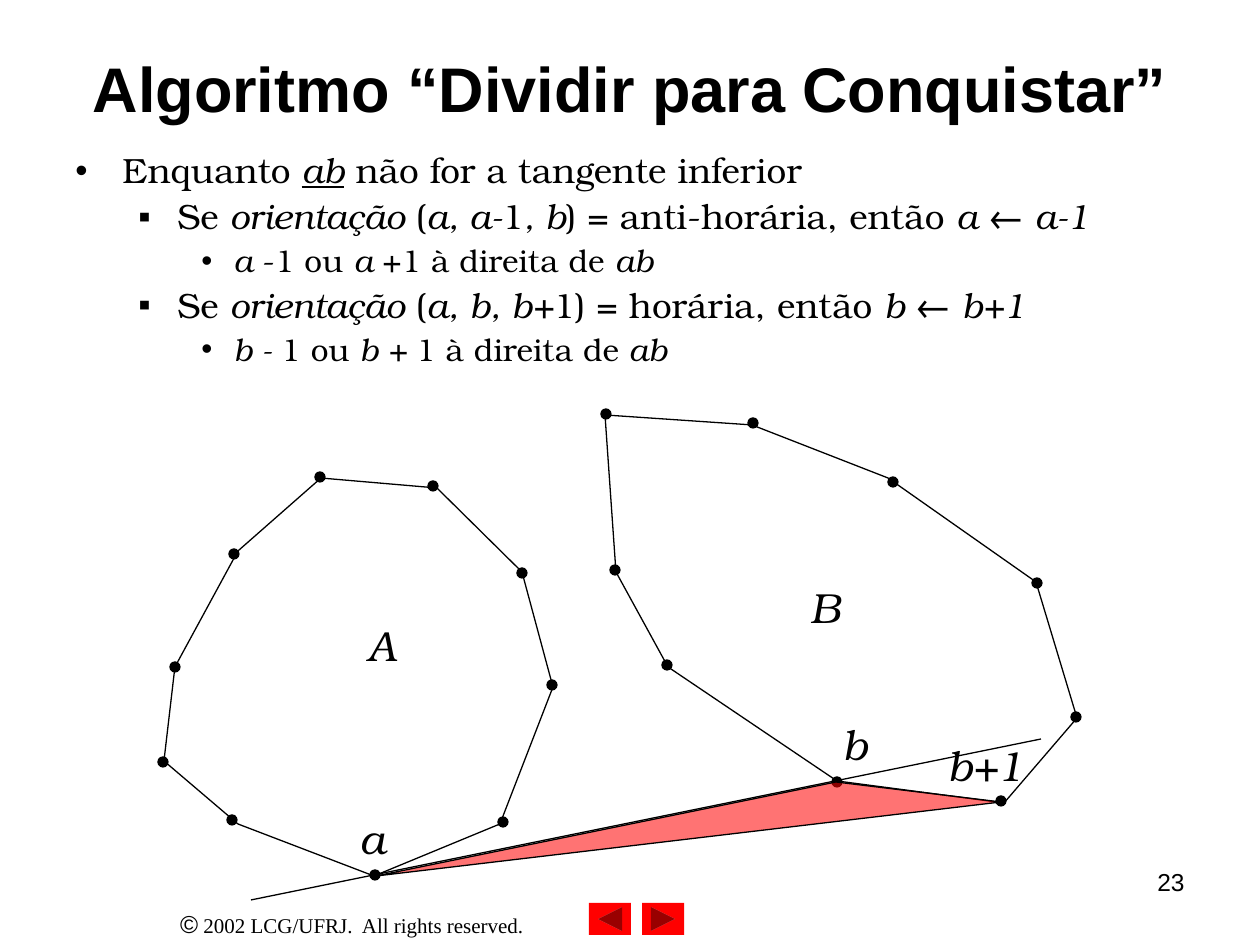
from dataclasses import dataclass

import pptx
import pptx.dml.color
import pptx.enum.shapes
import pptx.enum.text
import pptx.oxml.ns
import pptx.util
from lxml import etree

EMU_PER_PX = 914400 / 126
COLORS = {"ink": "000000", "paper": "FFFFFF", "accent": "FF0000"}
HEADING_FONT, BODY_FONT, FOOTER_FONT = "Arial", "TeX Gyre Bonum", "Times New Roman"
DOT = 10
LINE_WIDTH = 0.75
ALIGN = pptx.enum.text.PP_ALIGN
SHAPES = pptx.enum.shapes.MSO_SHAPE


@dataclass
class Hull:
    outline: list
    dots: list


@dataclass
class Label:
    text: str
    left: int
    top: int
    width: int


@dataclass
class Bullet:
    level: int
    text: str  # *italic*, with a leading _ for underline


@dataclass
class LevelStyle:
    mark: str
    margin: int
    indent: int
    size: int
    space_before: float


HULLS = [
    Hull([(238, 824), (164, 761), (175, 667), (238, 551), (321, 478), (437, 488),
          (522, 572), (553, 687), (500, 824), (374, 876)],
         [(232, 820), (163, 762), (175, 667), (234, 554), (320, 477), (433, 486),
          (522, 573), (552, 685), (503, 822), (375, 875)]),
    Hull([(605, 415), (616, 572), (668, 667), (837, 781), (1004, 803), (1077, 718),
          (1036, 582), (888, 478), (752, 425)],
         [(606, 414), (615, 570), (667, 665), (837, 782), (1001, 801), (1076, 717),
          (1037, 583), (893, 482), (753, 423)]),
]
TRIANGLE = [(376, 876), (836, 782), (1001, 802)]
HULL_LABELS = [Label("A", 355, 613, 60), Label("B", 798, 575, 60)]
POINT_LABELS = [Label("b", 830, 712, 60), Label("a", 347, 806, 60),
                Label("b+1", 935, 733, 120)]
BULLETS = [
    Bullet(0, "Enquanto *_ab* não for a tangente inferior"),
    Bullet(1, "Se *orientação* (*a, a-*1*, b*) = anti-horária, então *a *← *a-1*"),
    Bullet(2, "*a *-1 ou *a *+1 à direita de *ab*"),
    Bullet(1, "Se *orientação* (*a, b, b+*1) = horária, então *b *← *b+1*"),
    Bullet(2, "*b - *1 ou* b + *1 à direita de* ab*"),
]
LEVELS = [LevelStyle("•", 47, -47, 20, 5), LevelStyle("▪", 102, -39, 20, 5),
          LevelStyle("•", 158, -32, 18, 4.5)]


def px(value: int) -> int:
    return round(value * EMU_PER_PX)


def color(name: str):
    return pptx.dml.color.RGBColor.from_string(COLORS[name])


def set_attributes(target, values: dict) -> None:
    for name, value in values.items():
        setattr(target, name, value)


def add_run(paragraph, text: str, font: str, size: int, **extra) -> None:
    run = paragraph.add_run()
    run.text = text
    set_attributes(run.font, {"name": font, "size": pptx.util.Pt(size), **extra})
    run.font.color.rgb = color("ink")


def add_text_box(slide, left: int, top: int, width: int, height: int, **frame_values):
    box = slide.shapes.add_textbox(px(left), px(top), px(width), px(height))
    set_attributes(box.text_frame, {"word_wrap": True, **frame_values})
    return box.text_frame


def style_shape(shape, fill=None, line=None) -> None:
    shape.shadow.inherit = False
    if fill:
        shape.fill.solid()
        shape.fill.fore_color.rgb = color(fill)
    else:
        shape.fill.background()
    if line:
        shape.line.color.rgb = color(line)
        shape.line.width = pptx.util.Pt(LINE_WIDTH)
    else:
        shape.line.fill.background()


def add_polygon(slide, points: list, fill=None):
    builder = slide.shapes.build_freeform(*points[0], scale=EMU_PER_PX)
    builder.add_line_segments(points[1:], close=True)
    shape = builder.convert_to_shape()
    style_shape(shape, fill, "ink")
    return shape


def add_dot(slide, x: int, y: int) -> None:
    dot = slide.shapes.add_shape(SHAPES.OVAL, px(x - DOT // 2), px(y - DOT // 2),
                                 px(DOT), px(DOT))
    style_shape(dot, "ink", "ink")


def add_label(slide, label: Label) -> None:
    frame = add_text_box(slide, label.left, label.top, label.width, 63)
    add_run(frame.paragraphs[0], label.text, BODY_FONT, 24, italic=True)


def add_bullet(paragraph, bullet: Bullet) -> None:
    style = LEVELS[bullet.level]
    set_attributes(paragraph, {"level": bullet.level, "line_spacing": 0.9,
                               "space_before": pptx.util.Pt(style.space_before)})
    properties = paragraph._p.get_or_add_pPr()
    properties.set("marL", str(px(style.margin)))
    properties.set("indent", str(px(style.indent)))
    for tag, name, value in (("a:buFont", "typeface", HEADING_FONT),
                             ("a:buChar", "char", style.mark)):
        etree.SubElement(properties, pptx.oxml.ns.qn(tag)).set(name, value)
    for index, part in enumerate(bullet.text.split("*")):
        if part:
            add_run(paragraph, part.lstrip("_"), BODY_FONT, style.size,
                    italic=index % 2 == 1, underline=part.startswith("_"))


def add_button(slide, left: int, rotation: int) -> None:
    button = slide.shapes.add_shape(SHAPES.ACTION_BUTTON_FORWARD_OR_NEXT,
                                    px(left), px(903), px(42), px(32))
    button.rotation = rotation
    style_shape(button, "accent")


def main() -> None:
    presentation = pptx.Presentation()
    set_attributes(presentation, {"slide_width": px(1260), "slide_height": px(945)})
    slide = presentation.slides.add_slide(presentation.slide_layouts[6])
    slide.background.fill.solid()
    slide.background.fill.fore_color.rgb = color("paper")

    # Footer and navigation buttons
    footer = add_text_box(slide, 105, 903, 494, 43).paragraphs[0]
    footer.alignment = ALIGN.CENTER
    add_run(footer, "©", HEADING_FONT, 14)
    add_run(footer, " 2002 LCG/UFRJ.  All rights reserved.", FOOTER_FONT, 12)
    add_button(slide, 642, 0)
    add_button(slide, 589, 180)

    # Title and bullets
    title = add_text_box(slide, 63, 38, 1134, 98,
                         vertical_anchor=pptx.enum.text.MSO_ANCHOR.MIDDLE).paragraphs[0]
    title.alignment = ALIGN.CENTER
    add_run(title, "Algoritmo “Dividir para Conquistar”", HEADING_FONT, 36, bold=True)
    body = add_text_box(slide, 63, 147, 1134, 231)
    for index, bullet in enumerate(BULLETS):
        add_bullet(body.add_paragraph() if index else body.paragraphs[0], bullet)

    # Convex hulls with their vertices
    for hull in HULLS:
        add_polygon(slide, hull.outline)
    for hull in HULLS:
        for x, y in hull.dots:
            add_dot(slide, x, y)
    for label in HULL_LABELS:
        add_label(slide, label)

    # Translucent orientation triangle
    triangle = add_polygon(slide, TRIANGLE, "accent")
    fill_color = triangle._element.spPr.find(".//" + pptx.oxml.ns.qn("a:srgbClr"))
    etree.SubElement(fill_color, pptx.oxml.ns.qn("a:alpha")).set("val", "55000")
    for label in POINT_LABELS:
        add_label(slide, label)

    # Line through a and b
    line = slide.shapes.add_connector(pptx.enum.shapes.MSO_CONNECTOR.STRAIGHT,
                                      px(251), px(900), px(1041), px(739))
    line.line.color.rgb = color("ink")
    line.line.width = pptx.util.Pt(LINE_WIDTH)
    etree.SubElement(line._element.spPr, pptx.oxml.ns.qn("a:effectLst"))

    # Slide number
    number = add_text_box(slide, 903, 861, 294, 66).paragraphs[0]
    number.alignment = ALIGN.RIGHT
    add_run(number, "23", HEADING_FONT, 14)

    presentation.save("out.pptx")


if __name__ == "__main__":
    main()
